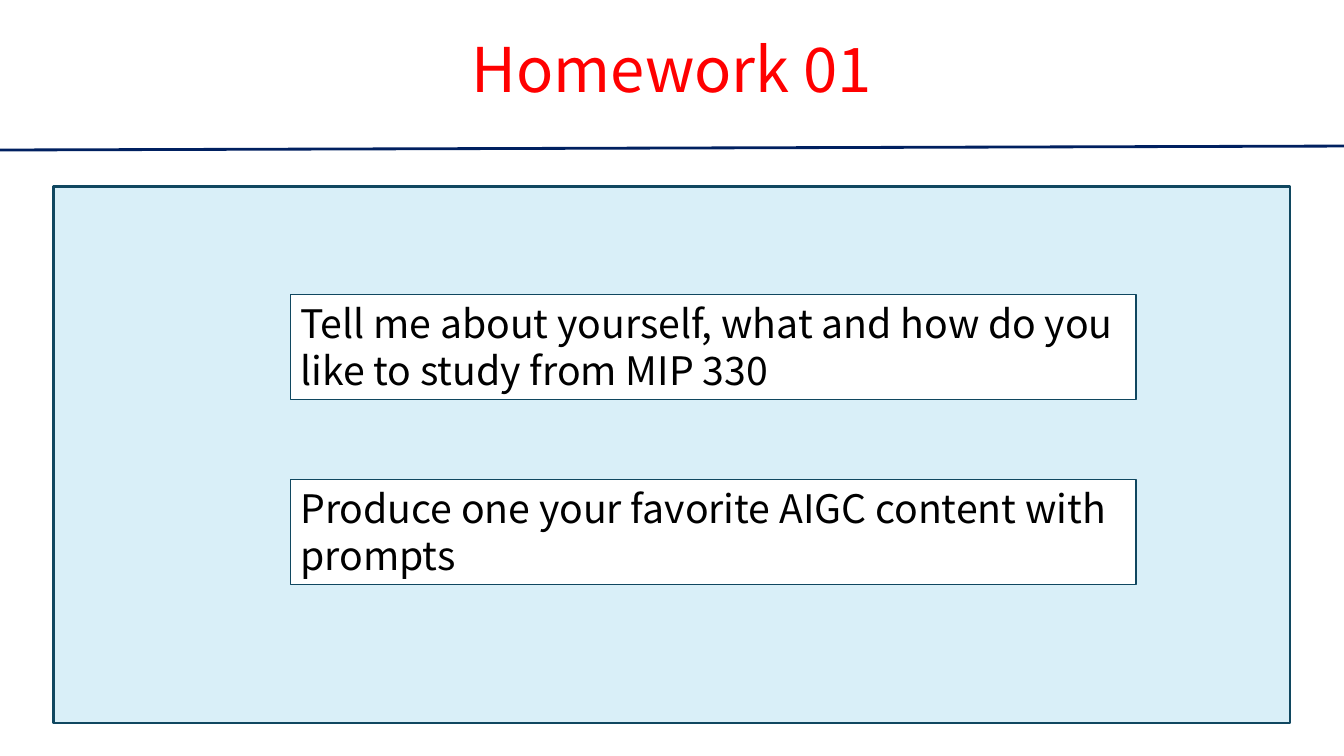
from lxml.etree import SubElement
from pptx import Presentation
from pptx.dml.color import RGBColor
from pptx.enum.shapes import MSO_CONNECTOR, MSO_SHAPE
from pptx.enum.text import MSO_ANCHOR, MSO_AUTO_SIZE, PP_ALIGN
from pptx.oxml.ns import qn
from pptx.util import Cm, Pt

COLORS = {
    "title": "FF0000",
    "rule": "002060",
    "panel": "83CBEB",
    "border": "104760",
    "box": "FFFFFF",
    "text": "000000",
}
WIDTH, HEIGHT = 33.87, 19.05
TASKS = [
    "Tell me about yourself, what and how do you like to study from MIP 330",
    "Produce one your favorite AIGC content with prompts",
]


class SlideBuilder:
    font = "Noto Sans CJK SC"

    def __init__(self, s):
        self.s = s

    def color(self, name):
        return RGBColor.from_string(COLORS[name])

    def paint(self, sp, fill, width):
        sp.fill.solid()
        sp.fill.fore_color.rgb = self.color(fill)
        sp.line.color.rgb = self.color("border")
        sp.line.width = Pt(width)

    def set_text(self, tf, text, size, color):
        tf.text = text
        tf.word_wrap = True
        p = tf.paragraphs[0]
        for r in p.runs:
            r.font.name = self.font
            r.font.size = Pt(size)
            r.font.color.rgb = self.color(color)
        return p

    def title(self, text, height):
        sp = self.s.shapes.title
        sp.left, sp.top, sp.width, sp.height = Cm(0), Cm(0), Cm(WIDTH), Cm(height)
        tf = sp.text_frame
        p = self.set_text(tf, text, 44, "title")
        p.alignment = PP_ALIGN.CENTER
        p.line_spacing = 0.9
        tf.vertical_anchor = MSO_ANCHOR.MIDDLE
        tf.auto_size = MSO_AUTO_SIZE.NONE

    def rule(self, start_y, end_y):
        line = self.s.shapes.add_connector(
            MSO_CONNECTOR.STRAIGHT, Cm(0), Cm(start_y), Cm(WIDTH), Cm(end_y))
        line.line.color.rgb = self.color("rule")
        line.line.width = Pt(2)
        SubElement(line.element.spPr, qn("a:effectLst"))

    def panel(self, x, y, w, h, opacity):
        sp = self.s.shapes.add_shape(MSO_SHAPE.RECTANGLE, Cm(x), Cm(y), Cm(w), Cm(h))
        sp.shadow.inherit = False
        self.paint(sp, "panel", 1.5)
        clr = sp.element.spPr.find(qn("a:solidFill")).find(qn("a:srgbClr"))
        SubElement(clr, qn("a:alpha")).set("val", str(opacity * 1000))

    def box(self, text, x, y, w, h):
        sp = self.s.shapes.add_textbox(Cm(x), Cm(y), Cm(w), Cm(h))
        self.paint(sp, "box", 0.75)
        self.set_text(sp.text_frame, text, 28, "text")
        sp.text_frame.auto_size = MSO_AUTO_SIZE.SHAPE_TO_FIT_TEXT


def main():
    prs = Presentation()
    prs.slide_width, prs.slide_height = Cm(WIDTH), Cm(HEIGHT)
    builder = SlideBuilder(prs.slides.add_slide(prs.slide_layouts[5]))
    builder.title("Homework 01", 3.68)
    builder.rule(3.78, 3.68)
    builder.panel(1.35, 4.7, 31.17, 13.51, 30)
    for i, task in enumerate(TASKS):
        builder.box(task, 7.32, 7.42 + i * 4.67, 21.31, 2.64)
    prs.save("out.pptx")


if __name__ == "__main__":
    main()
